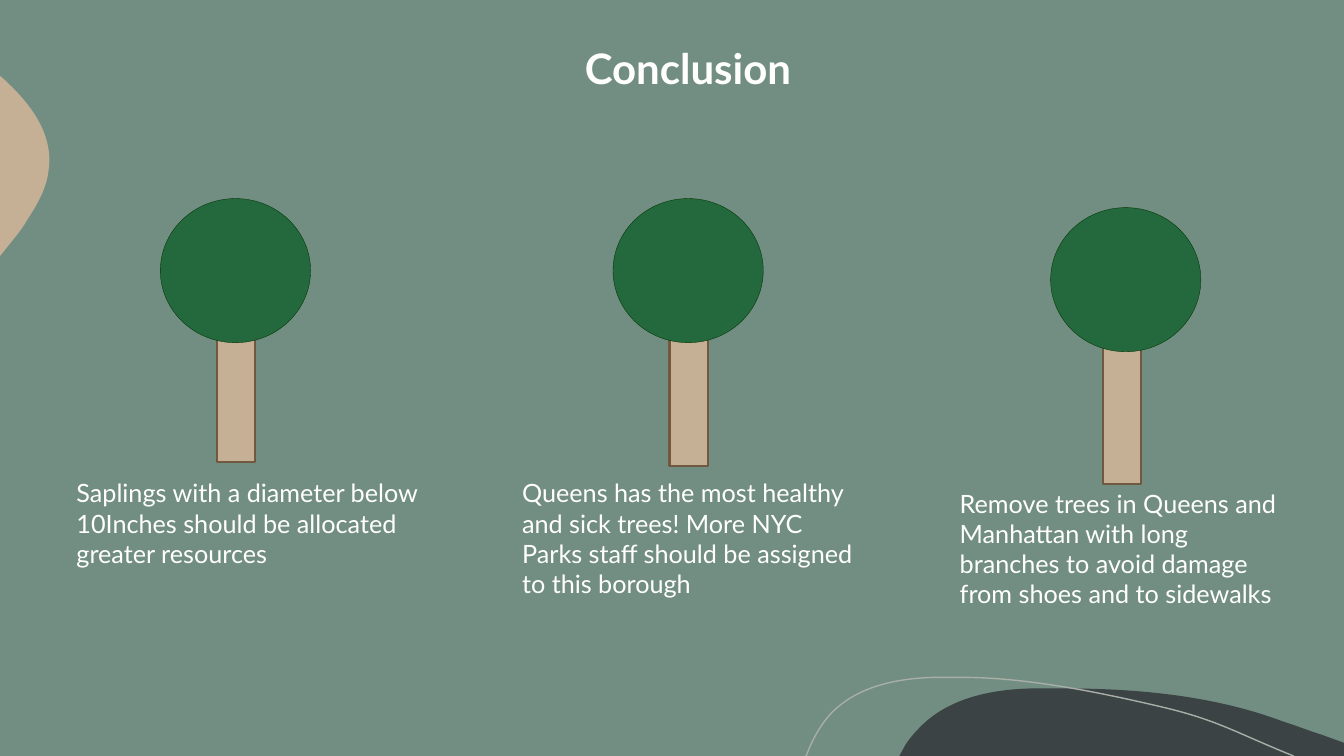
from lxml import etree
from pptx import Presentation
from pptx.dml.color import RGBColor
from pptx.enum.shapes import MSO_SHAPE
from pptx.enum.text import MSO_ANCHOR, MSO_AUTO_SIZE, PP_ALIGN
from pptx.oxml.ns import qn
from pptx.util import Inches, Pt

RECT, OVAL = MSO_SHAPE.RECTANGLE, MSO_SHAPE.OVAL
TOP, CENTER, LEFT = MSO_ANCHOR.TOP, PP_ALIGN.CENTER, PP_ALIGN.LEFT
GROW = MSO_AUTO_SIZE.SHAPE_TO_FIT_TEXT

# Content
TITLE = "Conclusion"
# text, text box, crown corner, trunk corner
TREES = [
    ("Saplings with a diameter below 10Inches should be allocated greater resources",
     (0.66, 4.69, 3.74, 1.01), (1.59, 1.97), (2.15, 3.15)),
    ("Queens has the most healthy and sick trees! More NYC Parks staff should be "
     "assigned to this borough",
     (5.08, 4.69, 3.49, 1.31), (6.08, 1.97), (6.64, 3.19)),
    ("Remove trees in Queens and Manhattan with long branches to avoid damage from "
     "shoes and to sidewalks",
     (9.42, 4.79, 3.49, 1.31), (10.42, 2.06), (10.94, 3.37)),
]
COLORS = {
    "background": "728E82", "slate": "3B4345", "sand": "C5B096", "outline": "A9AEA7",
    "bark": "70593E", "leaf": "24693D", "leaf_edge": "003300", "text": "FFFFFF",
}
FONT = "Lato"
CROWN, TRUNK = (1.49, 1.43), (0.38, 1.43)

# Decorative outlines: 2 numbers draw a line, 6 numbers draw a Bezier curve
HILL = [
    (10.54, 6.83), (11.28, 6.83, 12.04, 6.9, 12.73, 7.16),
    (12.86, 7.2, 12.98, 7.25, 13.11, 7.29), (13.33, 7.37), (13.33, 7.5),
    (8.92, 7.5), (8.98, 7.39), (9.02, 7.33, 9.06, 7.28, 9.11, 7.23),
    (9.39, 6.93, 9.82, 6.84, 10.23, 6.83), (10.33, 6.83, 10.43, 6.83, 10.54, 6.83),
]
PEBBLE = [
    (0, 0.75), (0.01, 0.76), (0.3, 1.02, 0.54, 1.33, 0.48, 1.7),
    (0.46, 1.87, 0.37, 2.03, 0.27, 2.18), (0.24, 2.24, 0.17, 2.33, 0.08, 2.44),
    (0, 2.54),
]
SWOOSH = [
    (7.99, 7.5), (8, 7.49), (8.06, 7.33, 8.14, 7.19, 8.24, 7.08),
    (8.5, 6.81, 8.89, 6.73, 9.26, 6.72), (9.55, 6.72),
    (10.22, 6.72, 11, 6.89, 11.55, 7.02), (12.09, 7.15, 12.26, 7.27, 12.83, 7.5),
]


def rgb(name):
    return RGBColor.from_string(COLORS[name])


def paint(sp, fill=None, line=None, width=1):
    sp.shadow.inherit = False
    if fill:
        sp.fill.solid()
        sp.fill.fore_color.rgb = rgb(fill)
    else:
        sp.fill.background()
    if line:
        sp.line.color.rgb = rgb(line)
        sp.line.width = Pt(width)
    else:
        sp.line.fill.background()


def add_outline(outline, close, **style):
    ends = [(Inches(step[-2]), Inches(step[-1])) for step in outline]
    builder = slide.shapes.build_freeform(*ends[0])
    builder.add_line_segments(ends[1:], close=close)
    sp = builder.convert_to_shape()
    # Bend the segments that have control points
    segments = list(sp._element.iter(qn("a:lnTo")))
    for segment, step in zip(segments, outline[1:]):
        if len(step) == 6:
            segment.tag = qn("a:cubicBezTo")
            for i in (0, 2):
                pt = etree.Element(qn("a:pt"))
                pt.set("x", str(Inches(step[i]) - sp.left))
                pt.set("y", str(Inches(step[i + 1]) - sp.top))
                segment.insert(i // 2, pt)
    paint(sp, **style)


def add_part(kind, corner, size, **style):
    sp = slide.shapes.add_shape(kind, *map(Inches, corner + size))
    paint(sp, **style)


def write(sp, text, size, align, bold=False):
    tf = sp.text_frame
    tf.word_wrap = True
    tf.auto_size = GROW
    tf.vertical_anchor = TOP
    p = tf.paragraphs[0]
    p.text = text
    p.alignment = align
    p.font.name, p.font.size, p.font.bold = FONT, Pt(size), bold
    p.font.color.rgb = rgb("text")


# Slide and background
prs = Presentation()
prs.slide_width, prs.slide_height = Inches(13.33), Inches(7.5)
slide = prs.slides.add_slide(prs.slide_layouts[5])
slide.background.fill.solid()
slide.background.fill.fore_color.rgb = rgb("background")

# Decoration
add_outline(HILL, True, fill="slate")
add_outline(PEBBLE, True, fill="sand")
add_outline(SWOOSH, False, line="outline")

# Title
title = slide.shapes.title
title.left, title.top, title.width, title.height = map(Inches, (2.21, 0.37, 9.23, 0.61))
write(title, TITLE, 30, CENTER, bold=True)

# Trees with their recommendations
for text, frame, crown, trunk in TREES:
    add_part(RECT, trunk, TRUNK, fill="sand", line="bark", width=1.5)
    add_part(OVAL, crown, CROWN, fill="leaf", line="leaf_edge", width=0.25)
    write(slide.shapes.add_textbox(*map(Inches, frame)), text, 18, LEFT)

prs.save("out.pptx")
